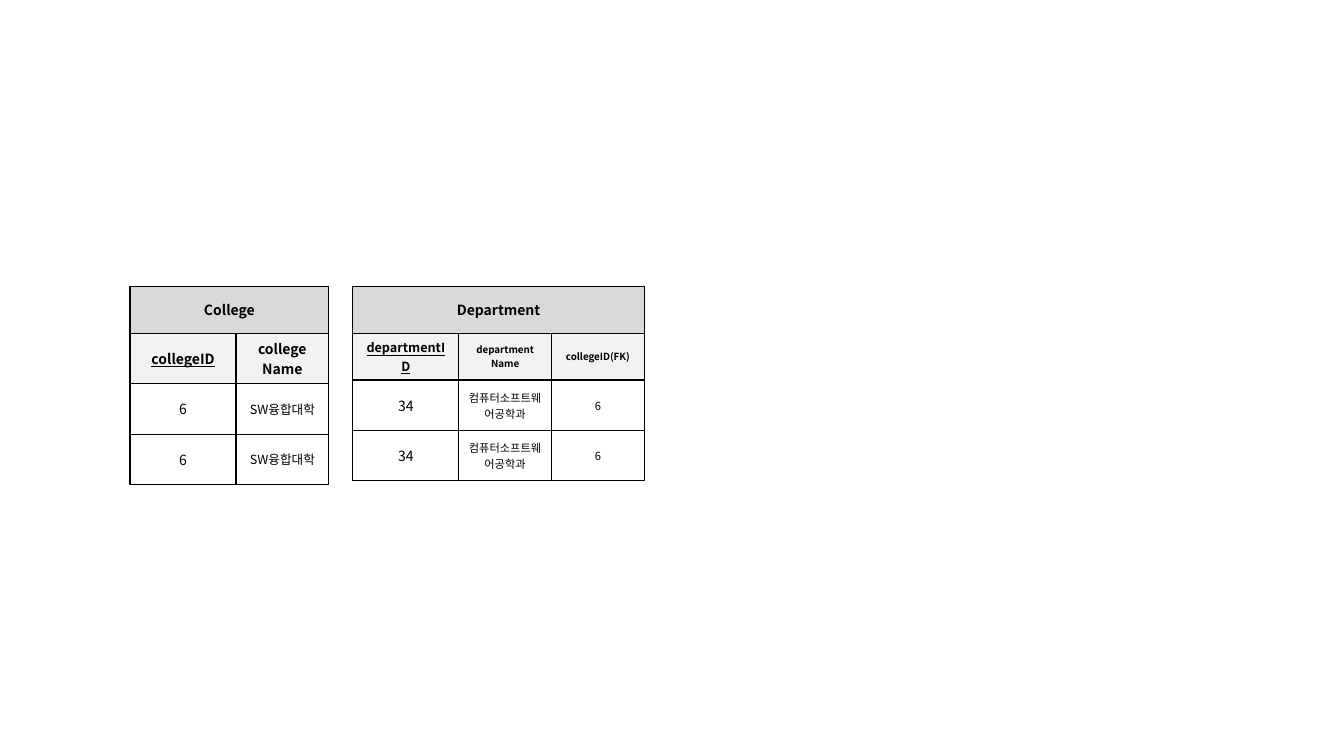
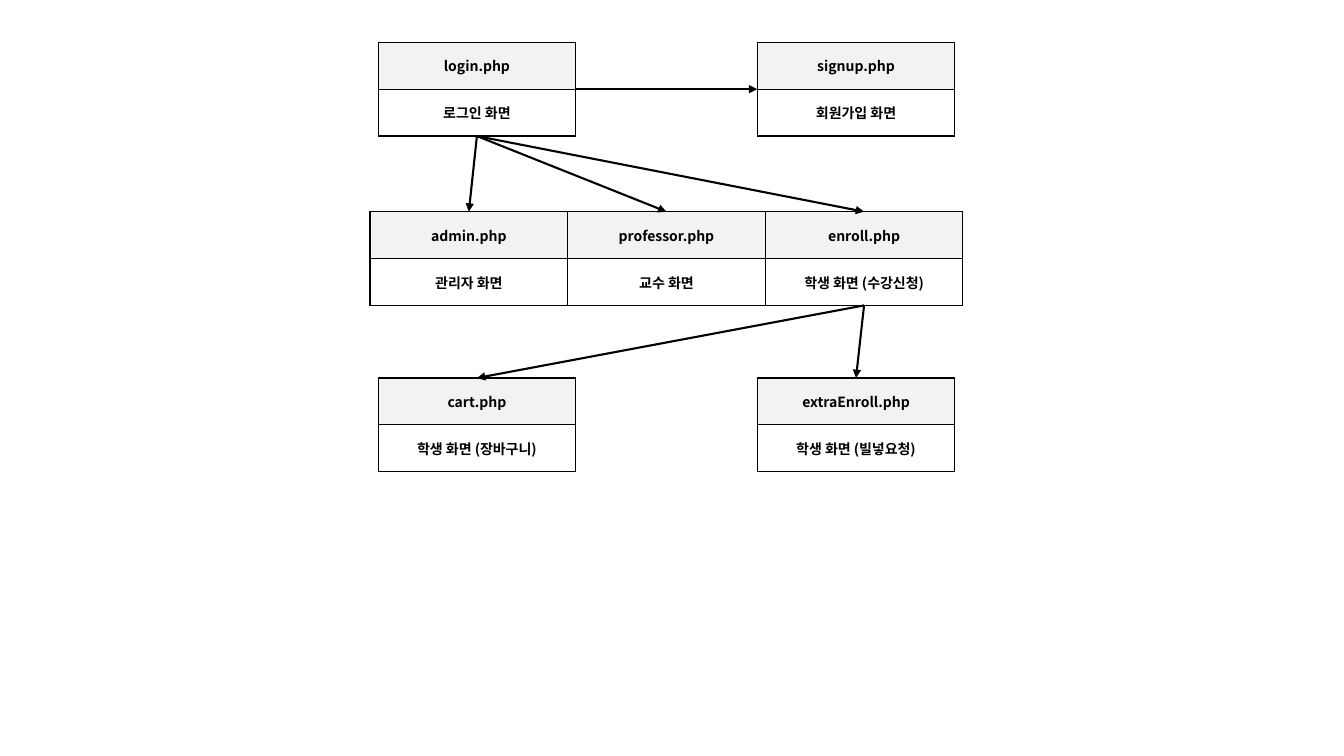
import pptx
import pptx.dml.color
import pptx.enum.shapes
import pptx.enum.text
import pptx.oxml
import pptx.oxml.ns
import pptx.util
from pptx.util import Inches

BLACK = pptx.dml.color.RGBColor(0x00, 0x00, 0x00)
WHITE = pptx.dml.color.RGBColor(0xFF, 0xFF, 0xFF)
TITLE_GREY = pptx.dml.color.RGBColor(0xD9, 0xD9, 0xD9)
HEAD_GREY = pptx.dml.color.RGBColor(0xF2, 0xF2, 0xF2)

FONT = "Noto Sans CJK KR"
NS = pptx.oxml.ns.nsdecls("a")
ROW_H = 0.93 / 2
RECORD_H = 0.5
BOX_W, BOX_H = 1.96, 2 * ROW_H

# Text formats: size in points plus font attributes
BOLD = {"size": 10, "bold": True}
KEY = {"size": 10, "bold": True, "underline": True}
LONG_KEY = {"size": 9, "bold": True, "underline": True}
SMALL_HEAD = {"size": 7, "bold": True}


def plain(size):
    return {"size": size, "bold": False}


# Entity tables: title, left, column widths, header cells, record cells
ENTITIES = [
    ("College", 1.29, [1.05, 0.92],
     [("collegeID", KEY), ("college\nName", BOLD)],
     [("6", plain(10)), ("SW융합대학", plain(9))]),
    ("Department", 3.5, [1.05, 0.92, 0.92],
     [("departmentID", LONG_KEY), ("department\nName", SMALL_HEAD),
      ("collegeID(FK)", SMALL_HEAD)],
     [("34", plain(10)), ("컴퓨터소프트웨어공학과", plain(8)), ("6", plain(8))]),
]
ENTITY_TOP = 2.84

# Screens: file, description, left, top
OUTER_L, OUTER_R, ROLE_L = 3.75, 7.51, 3.67
LOGIN_Y, ROLE_Y, STUDENT_Y = 0.42, 2.1, 3.75
SCREENS = [
    ("login", "로그인 화면", OUTER_L, LOGIN_Y),
    ("signup", "회원가입 화면", OUTER_R, LOGIN_Y),
    ("admin", "관리자 화면", ROLE_L, ROLE_Y),
    ("professor", "교수 화면", ROLE_L + BOX_W, ROLE_Y),
    ("enroll", "학생 화면 (수강신청)", ROLE_L + 2 * BOX_W, ROLE_Y),
    ("cart", "학생 화면 (장바구니)", OUTER_L, STUDENT_Y),
    ("extraEnroll", "학생 화면 (빌넣요청)", OUTER_R, STUDENT_Y),
]
DOWN_LINKS = [("login", "admin"), ("login", "professor"), ("login", "enroll"),
              ("enroll", "cart"), ("enroll", "extraEnroll")]


def format_text(tf, text, fmt):
    tf.text = text
    for p in tf.paragraphs:
        p.alignment = pptx.enum.text.PP_ALIGN.CENTER
        for r in p.runs:
            for name, value in fmt.items():
                setattr(r.font, name, pptx.util.Pt(value) if name == "size" else value)
            r.font.name = FONT
            r.font.color.rgb = BLACK
            # Korean glyphs use the East Asian typeface
            r.font._element.append(
                pptx.oxml.parse_xml(f'<a:ea {NS} typeface="{FONT}"/>'))


def set_borders(cell, widths):
    tc_pr = cell._tc.get_or_add_tcPr()
    for side in "LRTB":
        width = pptx.util.Pt(widths.get(side, 1))
        tc_pr.append(pptx.oxml.parse_xml(
            f'<a:ln{side} {NS} w="{width}"><a:solidFill>'
            f'<a:srgbClr val="{BLACK}"/></a:solidFill></a:ln{side}>'))


def add_grid(s, left, top, cols, rows):
    """Each row is (height, fill, border widths, [(text, format), ...])."""
    height = sum(row[0] for row in rows)
    table = s.shapes.add_table(len(rows), len(cols), Inches(left), Inches(top),
                               Inches(sum(cols)), Inches(height)).table
    table.first_row = table.horz_banding = False
    for col, width in zip(table.columns, cols):
        col.width = Inches(width)
    for i, (row_h, fill, widths, texts) in enumerate(rows):
        table.rows[i].height = Inches(row_h)
        for j in range(len(cols)):
            cell = table.cell(i, j)
            set_borders(cell, widths)
            cell.fill.solid()
            cell.fill.fore_color.rgb = fill
            cell.vertical_anchor = pptx.enum.text.MSO_ANCHOR.MIDDLE
            if j < len(texts):
                format_text(cell.text_frame, *texts[j])
        # A single text spans the whole row
        if len(texts) < len(cols):
            table.cell(i, 0).merge(table.cell(i, len(cols) - 1))


def add_entity(s, title, left, cols, heads, record):
    add_grid(s, left, ENTITY_TOP, cols, [
        (ROW_H, TITLE_GREY, {}, [(title, BOLD)]),
        (ROW_H, HEAD_GREY, {}, heads),
        (RECORD_H, WHITE, {"B": 0.5}, record),
        (RECORD_H, WHITE, {"T": 0.5}, record),
    ])


def add_screen(s, name, description, left, top):
    add_grid(s, left, top, [BOX_W], [
        (ROW_H, HEAD_GREY, {}, [(f"{name}.php", BOLD)]),
        (ROW_H, WHITE, {}, [(description, BOLD)]),
    ])


def add_arrow(s, start, end):
    line = s.shapes.add_connector(
        pptx.enum.shapes.MSO_CONNECTOR.STRAIGHT,
        *(Inches(v) for v in (*start, *end)))
    line.line.color.rgb = BLACK
    line.line.width = pptx.util.Pt(1.5)
    line.line._get_or_add_ln().append(
        pptx.oxml.parse_xml(f'<a:tailEnd {NS} type="triangle"/>'))
    line._element.spPr.append(pptx.oxml.parse_xml(f"<a:effectLst {NS}/>"))


def build_entities(s):
    for entity in ENTITIES:
        add_entity(s, *entity)


def build_screen_flow(s):
    for screen in SCREENS:
        add_screen(s, *screen)
    # Sideways from login to signup
    middle = LOGIN_Y + ROW_H
    add_arrow(s, (OUTER_L + BOX_W, middle), (OUTER_R, middle))
    # Downwards, from bottom centre to top centre
    places = {name: (left + BOX_W / 2, top) for name, _, left, top in SCREENS}
    for source, target in DOWN_LINKS:
        x, y = places[source]
        add_arrow(s, (x, y + BOX_H), places[target])


def main():
    prs = pptx.Presentation()
    prs.slide_width, prs.slide_height = Inches(13.33), Inches(7.5)
    blank = prs.slide_layouts[6]
    for build in (build_entities, build_screen_flow):
        build(prs.slides.add_slide(blank))
    prs.save("out.pptx")


if __name__ == "__main__":
    main()
